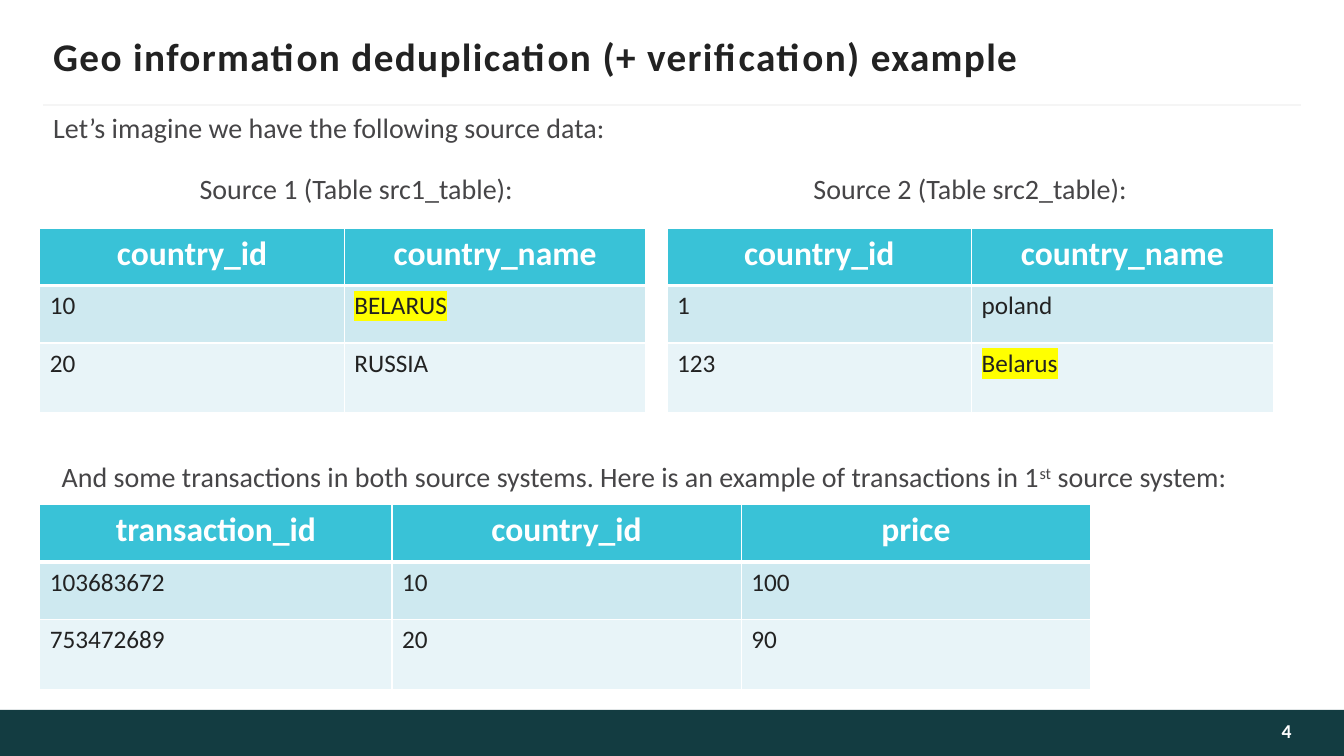
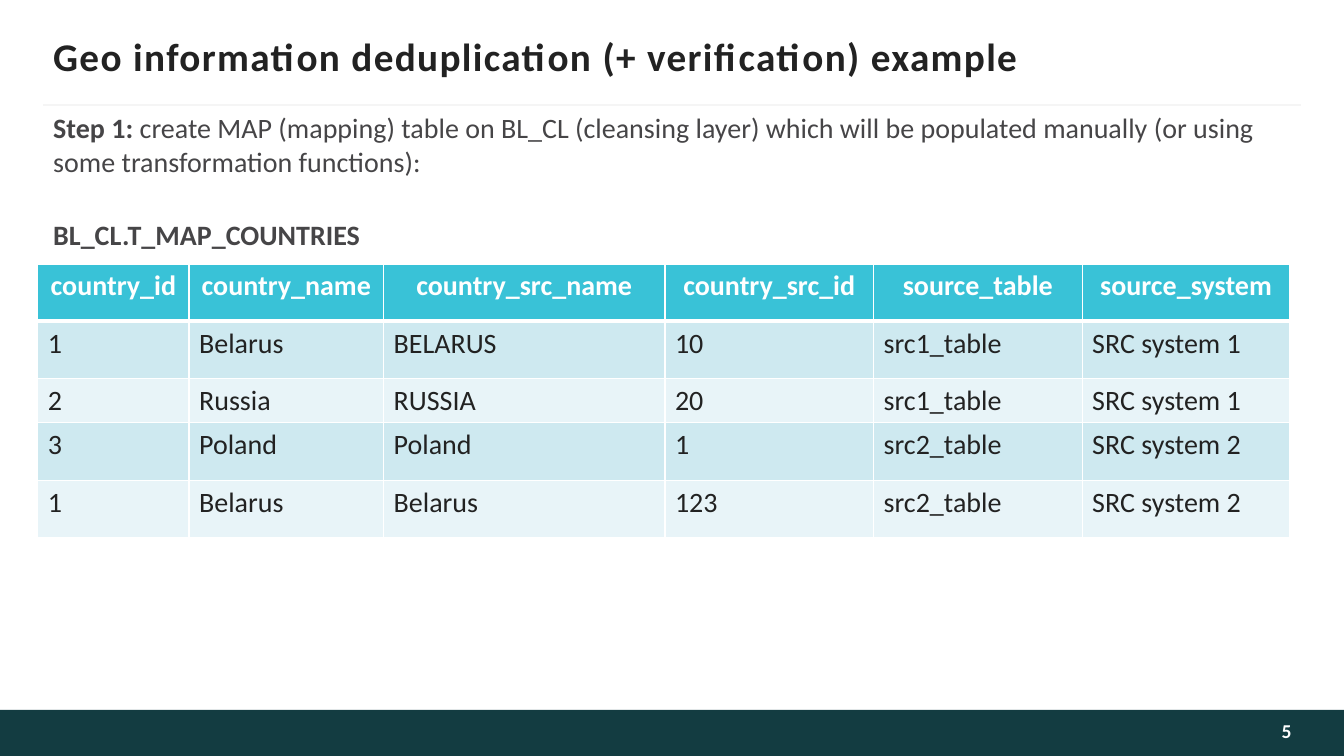
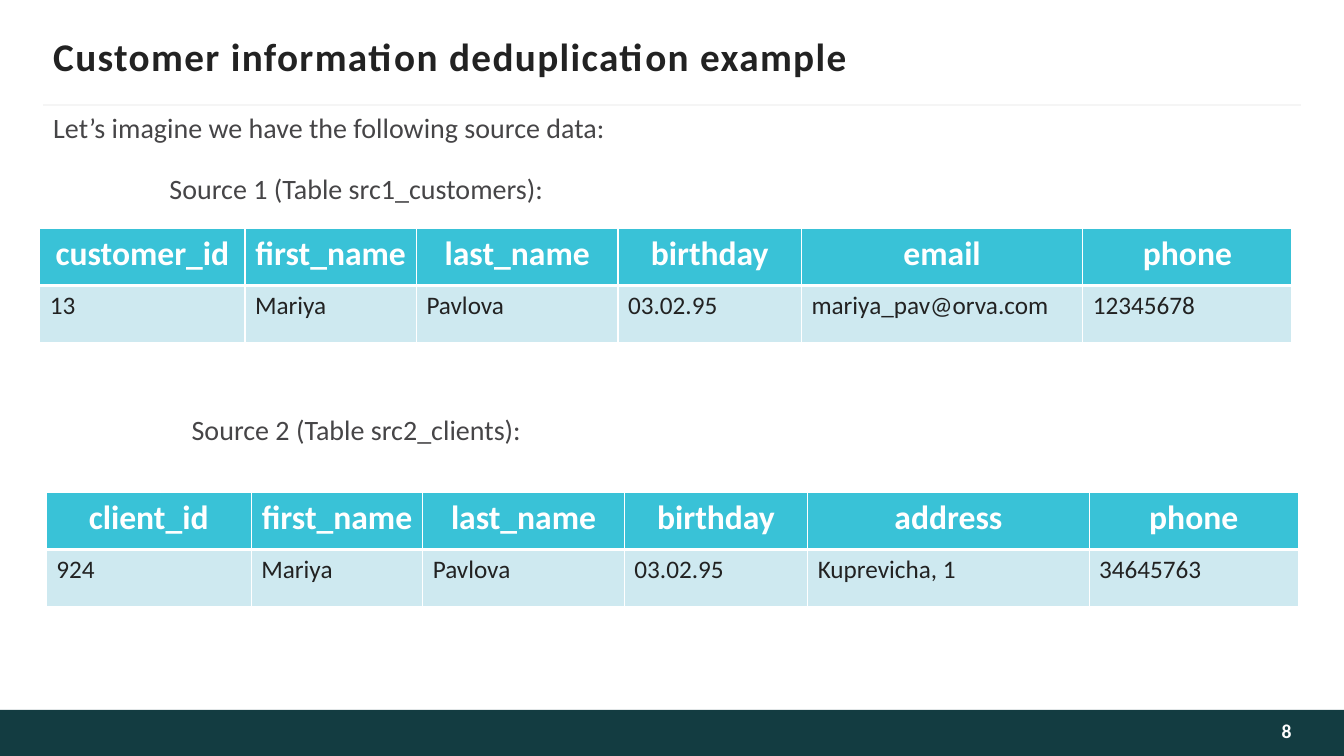
from lxml.etree import SubElement
from pptx import Presentation
from pptx.dml.color import RGBColor
from pptx.enum.shapes import MSO_CONNECTOR, MSO_SHAPE
from pptx.enum.text import MSO_ANCHOR, PP_ALIGN
from pptx.oxml.ns import qn
from pptx.util import Pt

FONT = "Calibri"
DARK, GREY, WHITE, YELLOW = "222222", "464547", "FFFFFF", "FFFF00"
BAND, RULE = "133C41", "F5F5F5"
HEAD, ROWS = "39C2D7", ("CEE9F0", "E8F4F8")
LEFT, CENTER, RIGHT = PP_ALIGN.LEFT, PP_ALIGN.CENTER, PP_ALIGN.RIGHT

TITLE = {"size": 28, "bold": True, "color": DARK, "spc": "100"}
BODY = {"size": 20, "bold": False, "color": GREY}
NUMBER = {"size": 14, "bold": True, "color": "FEFEFE"}
BOLD = {"bold": True}
SUPER = {"baseline": "30000"}
MARK = {"highlight": YELLOW}

ROW_H = 41
PAIR = [217.5, 215.5]
TRIPLE = [251.5, 249.5, 249.5]
MAP_COLS = [108, 139, 201, 149, 149, 148.5]
PERSON_COLS = [146.5, 122.5, 144, 131, 201, 149.5]
INTRO = "Let’s imagine we have the following source data:"
GEO = "Geo information deduplication (+ verification) example"


def write(p, runs, fmt, align=LEFT):
    """Fill a paragraph; each run is a string or a (string, format changes) pair."""
    p.alignment = align
    for run in runs:
        text, extra = (run, {}) if isinstance(run, str) else run
        r = p.add_run()
        r.text = text
        r.font.name = FONT
        rPr = r._r.get_or_add_rPr()
        for key, value in {**fmt, **extra}.items():
            if key == "color":
                r.font.color.rgb = RGBColor.from_string(value)
            elif key == "highlight":
                mark = SubElement(rPr, qn("a:highlight"))
                SubElement(mark, qn("a:srgbClr"), val=value)
                rPr.find(qn("a:solidFill")).addnext(mark)
            elif key in ("spc", "baseline"):
                rPr.set(key, value)
            else:
                setattr(r.font, key, Pt(value) if key == "size" else value)


def add_text(s, box, runs, fmt=BODY, align=LEFT, anchor=MSO_ANCHOR.TOP,
             margins=(0, 0), spacing=(2.6, 3)):
    """Add a one-paragraph text box; margins are top and bottom."""
    tf = s.shapes.add_textbox(*map(Pt, box)).text_frame
    frame = {"word_wrap": True, "vertical_anchor": anchor,
             "margin_left": 0, "margin_right": 0,
             "margin_top": Pt(margins[0]), "margin_bottom": Pt(margins[1])}
    for key, value in frame.items():
        setattr(tf, key, value)
    p = tf.paragraphs[0]
    p.space_before, p.space_after = map(Pt, spacing)
    write(p, runs, fmt, align)


# texts: left, top, width, alignment, runs
# tables: left, top, column widths, {row: height}, head size, body size, cells
slides = [
    {
        "title": GEO, "number": "4",
        "texts": [
            (38, 79, 871, LEFT, [INTRO]),
            (38, 122.5, 433, CENTER, ["Source 1 (Table src1_table):"]),
            (476.5, 122.5, 433, CENTER, ["Source 2 (Table src2_table):"]),
            (44, 328.5, 871, LEFT, [
                "And some transactions in both source systems. "
                "Here is an example of transactions in 1",
                ("st", SUPER), " source system:"]),
        ],
        "tables": [
            (28.5, 163, PAIR, {2: 50}, 24, 18, [
                ["country_id", "country_name"],
                ["10", ("BELARUS", MARK)],
                ["20", "RUSSIA"]]),
            (476.5, 163, PAIR, {2: 50}, 24, 18, [
                ["country_id", "country_name"],
                ["1", "poland"],
                ["123", ("Belarus", MARK)]]),
            (28.5, 360.5, TRIPLE, {2: 50}, 24, 18, [
                ["transaction_id", "country_id", "price"],
                ["103683672", "10", "100"],
                ["753472689", "20", "90"]]),
        ],
    },
    {
        "title": GEO, "number": "5",
        "texts": [
            (38, 79, 871, LEFT, [
                ("Step 1: ", BOLD),
                "create MAP (mapping) table on BL_CL (cleansing layer) which will be "
                "populated manually (or using some transformation functions):"]),
            (38, 155.5, 433, LEFT, [("BL_CL.T_MAP_COUNTRIES", BOLD)]),
        ],
        "tables": [
            (27, 188.5, MAP_COLS, {2: 31.6}, 20, 20, [
                ["country_id", "country_name", "country_src_name",
                 "country_src_id", "source_table", "source_system"],
                ["1", "Belarus", "BELARUS", "10", "src1_table", "SRC system 1"],
                ["2", "Russia", "RUSSIA", "20", "src1_table", "SRC system 1"],
                ["3", "Poland", "Poland", "1", "src2_table", "SRC system 2"],
                ["1", "Belarus", "Belarus", "123", "src2_table", "SRC system 2"]]),
        ],
    },
    {
        "title": "Customer information deduplication example", "number": "8",
        "texts": [
            (38, 79, 871, LEFT, [INTRO]),
            (38, 122.5, 433, CENTER, ["Source 1 (Table src1_customers):"]),
            (38, 294.5, 433, CENTER, ["Source 2 (Table src2_clients):"]),
        ],
        "tables": [
            (28.5, 163, PERSON_COLS, {}, 24, 18, [
                ["customer_id", "first_name", "last_name", "birthday", "email", "phone"],
                ["13", "Mariya", "Pavlova", "03.02.95", "mariya_pav@orva.com",
                 "12345678"]]),
            (33, 351.5, PERSON_COLS, {}, 24, 18, [
                ["client_id", "first_name", "last_name", "birthday", "address", "phone"],
                ["924", "Mariya", "Pavlova", "03.02.95", "Kuprevicha, 1", "34645763"]]),
        ],
    },
]

prs = Presentation()
prs.slide_width, prs.slide_height = Pt(960), Pt(540)

for data in slides:
    s = prs.slides.add_slide(prs.slide_layouts[6])

    band = s.shapes.add_shape(MSO_SHAPE.RECTANGLE, Pt(0), Pt(507), Pt(960), Pt(33))
    band.shadow.inherit = False
    band.fill.solid()
    band.fill.fore_color.rgb = RGBColor.from_string(BAND)
    band.line.fill.background()

    rule = s.shapes.add_connector(MSO_CONNECTOR.STRAIGHT, Pt(31), Pt(75), Pt(929), Pt(75))
    rule.line.color.rgb = RGBColor.from_string(RULE)
    rule.line.width = Pt(1.5)
    SubElement(rule._element.spPr, qn("a:effectLst"))

    add_text(s, (38, 24, 885, 32), [data["title"]], TITLE,
             anchor=MSO_ANCHOR.MIDDLE, margins=(3.6, 3.6), spacing=(0, 0))
    add_text(s, (778.5, 507, 144, 33), [data["number"]], NUMBER, RIGHT,
             MSO_ANCHOR.MIDDLE, (3.6, 6.5), (0, 0))

    for left, top, width, align, runs in data["texts"]:
        add_text(s, (left, top, width, 33), runs, align=align)

    for left, top, widths, heights, head_size, body_size, cells in data["tables"]:
        row_heights = [heights.get(i, ROW_H) for i in range(len(cells))]
        table = s.shapes.add_table(len(cells), len(widths), Pt(left), Pt(top),
                                   Pt(sum(widths)), Pt(sum(row_heights))).table
        for column, width in zip(table.columns, widths):
            column.width = Pt(width)
        for i, (row, height) in enumerate(zip(table.rows, row_heights)):
            row.height = Pt(height)
            head = i == 0
            fmt = {"size": head_size if head else body_size, "bold": head,
                   "color": WHITE if head else DARK}
            # The line between head and body is the thick one.
            borders = {"L": 1, "R": 1, "T": 3 if i == 1 else 1, "B": 3 if head else 1}
            for cell, content in zip(row.cells, cells[i]):
                write(cell.text_frame.paragraphs[0], [content], fmt,
                      CENTER if head else LEFT)
                tcPr = cell._tc.get_or_add_tcPr()
                for side, weight in borders.items():
                    ln = SubElement(tcPr, qn("a:ln" + side), w=str(Pt(weight)))
                    fill = SubElement(ln, qn("a:solidFill"))
                    SubElement(fill, qn("a:srgbClr"), val=WHITE)
                cell.fill.solid()
                cell.fill.fore_color.rgb = RGBColor.from_string(
                    HEAD if head else ROWS[(i - 1) % 2])

prs.save("out.pptx")
